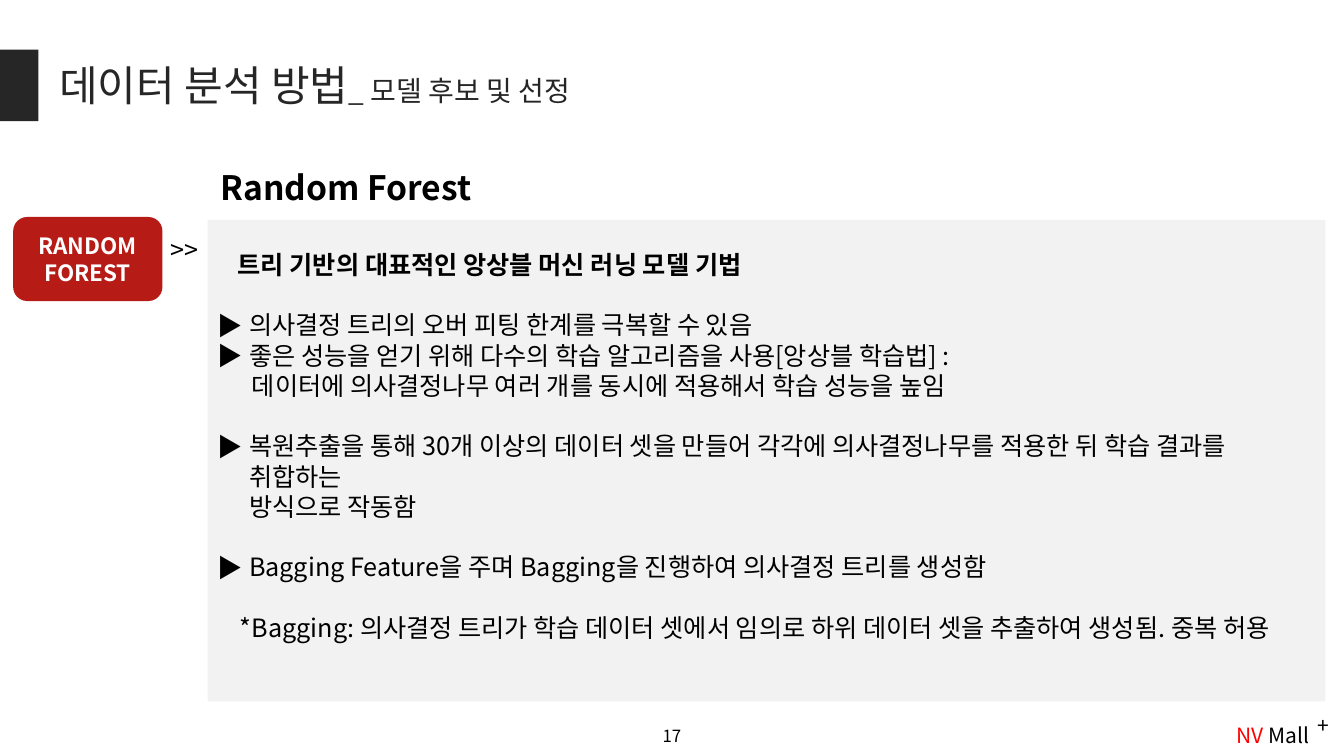
"""Build the Random Forest model-selection slide."""
from pptx import Presentation
from pptx.dml.color import RGBColor
from pptx.enum.shapes import MSO_SHAPE as SHAPE
from pptx.enum.text import MSO_ANCHOR as ANCHOR, PP_ALIGN as ALIGN
from pptx.oxml.ns import qn
from pptx.util import Pt
from lxml.etree import SubElement


def rgb(value):
    """Turn a hex string into a colour."""
    return RGBColor.from_string(value)


class Deck:
    """Hold the style and the current slide."""

    FONT = "Noto Sans CJK KR"
    BLACK, WHITE, DARK = "000000", "FFFFFF", "262626"
    RED, BRAND, PANEL = "B71B15", "FF0000", "F2F2F2"

    def __init__(self):
        """Start a widescreen presentation with one blank slide."""
        self.prs = Presentation()
        self.prs.slide_width, self.prs.slide_height = Pt(960), Pt(540)
        self.s = self.prs.slides.add_slide(self.prs.slide_layouts[6])

    def run(self, p, text, size, color=BLACK, bold=False):
        """Add one styled run to a paragraph."""
        r = p.add_run()
        r.text = text
        r.font.size, r.font.bold, r.font.name = Pt(size), bold, self.FONT
        r.font.color.rgb = rgb(color)
        SubElement(r.font._element, qn("a:ea")).set("typeface", self.FONT)

    def text(self, box, runs, align=ALIGN.LEFT, anchor=ANCHOR.TOP):
        """Add a text box of one paragraph."""
        sp = self.s.shapes.add_textbox(*map(Pt, box))
        tf = sp.text_frame
        tf.word_wrap, tf.vertical_anchor = True, anchor
        p = tf.paragraphs[0]
        p.alignment = align
        for run in runs:
            self.run(p, *run)

    def shape(self, kind, box, fill):
        """Add a plain filled shape and return its text frame."""
        sp = self.s.shapes.add_shape(kind, *map(Pt, box))
        sp.shadow.inherit = False
        sp.fill.solid()
        sp.fill.fore_color.rgb = rgb(fill)
        sp.line.fill.background()
        sp.text_frame.word_wrap = True
        return sp.text_frame

    def label(self, box, fill, lines, size):
        """Add a rounded label with centred bold lines."""
        tf = self.shape(SHAPE.ROUNDED_RECTANGLE, box, fill)
        tf.vertical_anchor = ANCHOR.MIDDLE
        for i, line in enumerate(lines):
            p = tf.add_paragraph() if i else tf.paragraphs[0]
            p.alignment = ALIGN.CENTER
            self.run(p, line, size, self.WHITE, True)

    def panel(self, box, items, size, top):
        """Add a panel of indented or bulleted paragraphs."""
        tf = self.shape(SHAPE.RECTANGLE, box, self.PANEL)
        tf.vertical_anchor, tf.margin_top = ANCHOR.TOP, Pt(top)
        for i, (lines, indent, bullet, gap, bold) in enumerate(items):
            p = tf.add_paragraph() if i else tf.paragraphs[0]
            p.alignment, p.space_before = ALIGN.LEFT, Pt(gap)
            pPr = p._p.get_or_add_pPr()
            pPr.set("marL", str(Pt(indent)))
            if bullet:
                pPr.set("indent", str(-Pt(indent)))
                SubElement(pPr, qn("a:buFont")).set("typeface", self.FONT)
                SubElement(pPr, qn("a:buChar")).set("char", "▶")
            for j, line in enumerate(lines):
                if j:
                    p.add_line_break()
                self.run(p, line, size, self.BLACK, bold)


def main():
    """Draw the slide and save it."""
    d = Deck()
    d.text((35.3, 39, 517, 44), [("데이터 분석 방법", 30, d.DARK), ("_ 모델 후보 및 선정", 20, d.DARK)])
    d.shape(SHAPE.RECTANGLE, (0, 35.5, 27.5, 51), d.DARK)
    d.text((876, 512.5, 84, 25), [("NV", 15, d.BRAND), (" Mall", 15)])
    d.text((934, 505.5, 26, 25), [("+", 15)])
    gap = 21.6
    d.panel((148.3, 157, 798.5, 344), [
        (["트리 기반의 대표적인 앙상블 머신 러닝 모델 기법"], 14.4, False, 0, True),
        (["의사결정 트리의 오버 피팅 한계를 극복할 수 있음"], 22.5, True, gap, False),
        (["좋은 성능을 얻기 위해 다수의 학습 알고리즘을 사용[앙상블 학습법] :"], 22.5, True, 0, False),
        (["데이터에 의사결정나무 여러 개를 동시에 적용해서 학습 성능을 높임"], 24.5, False, 0, False),
        (["복원추출을 통해 30개 이상의 데이터 셋을 만들어 각각에 의사결정나무를 적용한 뒤 학습 결과를 취합하는",
          "방식으로 작동함"], 22.5, True, gap, False),
        (["Bagging Feature을 주며 Bagging을 진행하여 의사결정 트리를 생성함"], 22.5, True, gap, False),
        (["*Bagging: 의사결정 트리가 학습 데이터 셋에서 임의로 하위 데이터 셋을 추출하여 생성됨. 중복 허용"],
         16, False, gap, False),
    ], 18, 21)
    d.label((9.4, 155, 106.6, 60), d.RED, ["RANDOM", "FOREST"], 16)
    d.text((114.5, 163.5, 65.5, 29), [(">>", 18)])
    d.text((150.5, 116, 461, 36), [("Random Forest", 24, d.BLACK, True)])
    d.text((372, 511, 216, 29), [("17", 12)], ALIGN.CENTER, ANCHOR.MIDDLE)
    d.prs.save("out.pptx")


if __name__ == "__main__":
    main()
